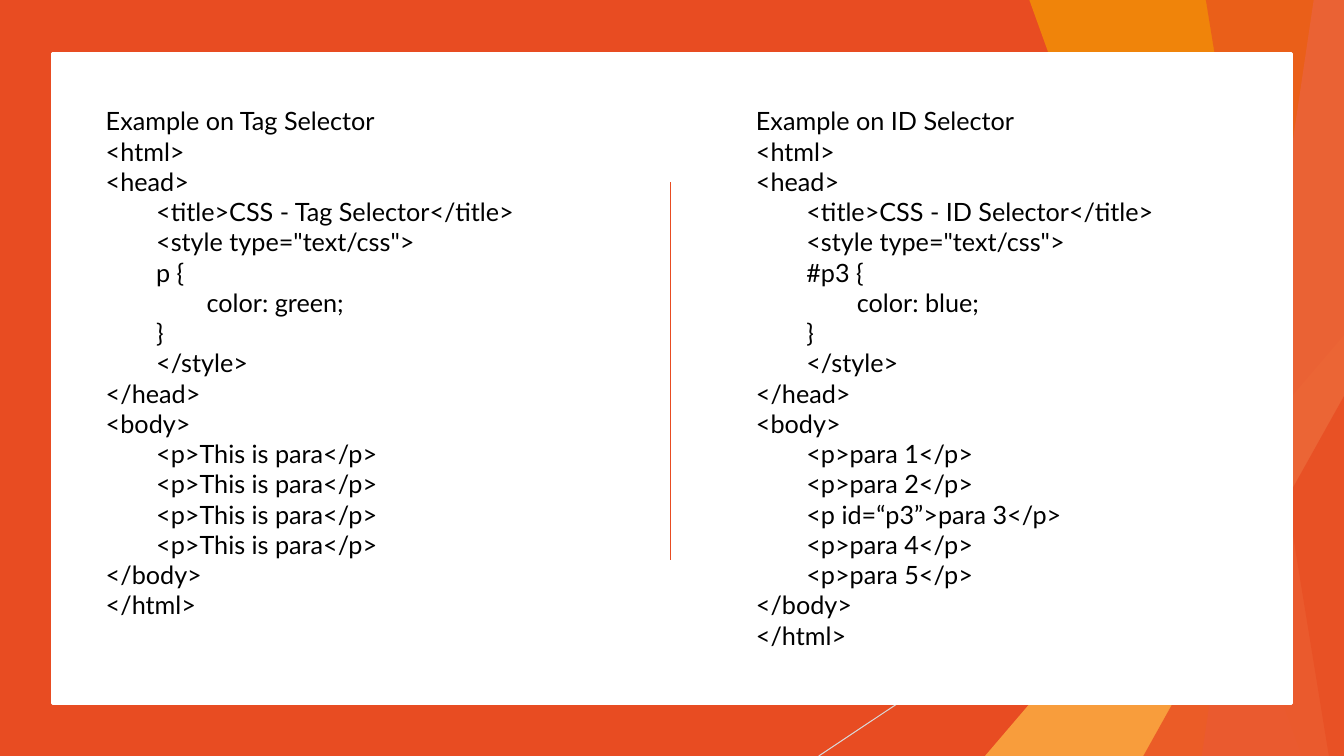
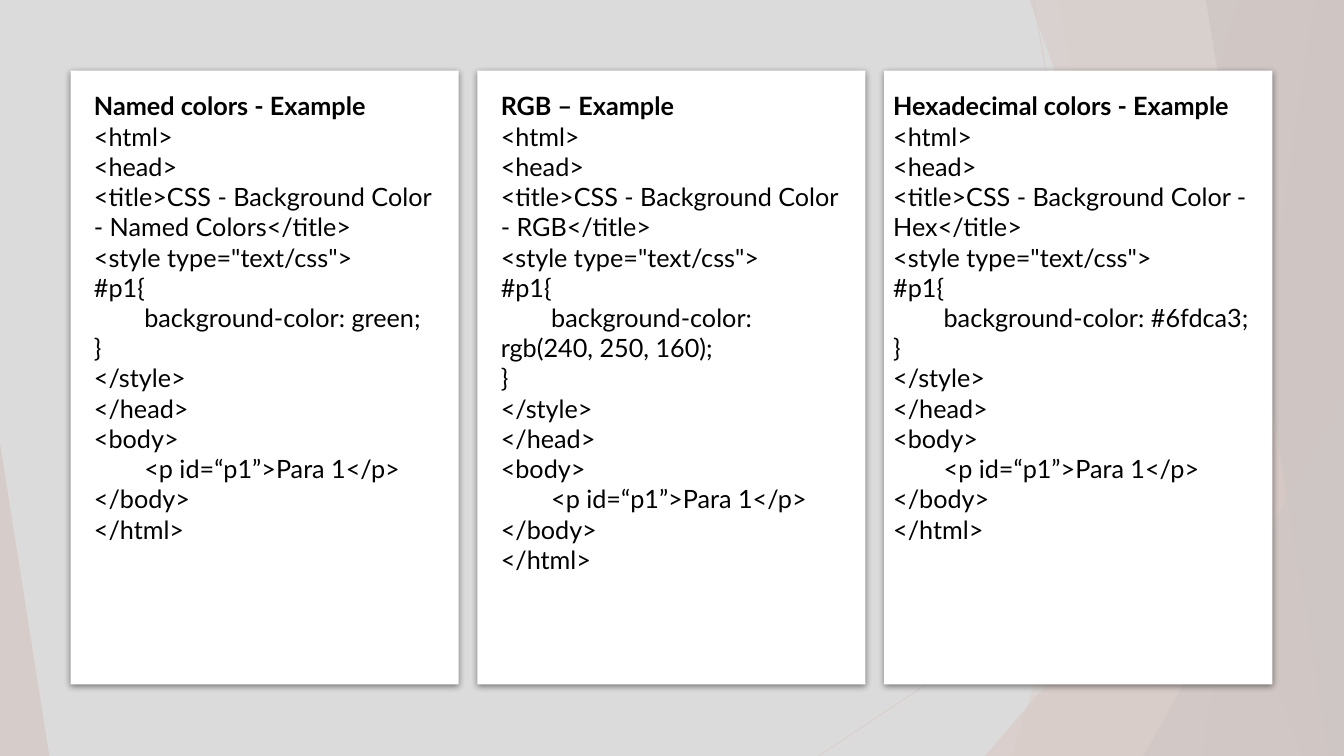
from lxml import etree
from pptx import Presentation
from pptx.dml.color import RGBColor
from pptx.enum.shapes import MSO_CONNECTOR, MSO_SHAPE
from pptx.oxml.ns import qn
from pptx.util import Inches, Pt

RECT = MSO_SHAPE.RECTANGLE
TRI = MSO_SHAPE.ISOSCELES_TRIANGLE
LINE = MSO_CONNECTOR.STRAIGHT
WIDE, HIGH = Inches(13.33), Inches(7.5)
FONT, SIZE = "Lato", 18
COLORS = {
    "orange": "E84C22", "rust": "B43512", "brown": "78230C",
    "yellow": "FFBD47", "amber": "F49C00", "salmon": "F19279",
    "gray": "D8D8D8", "white": "FFFFFF", "black": "000000",
}

# All places are percent of the slide's width and height.
# A band runs to the right edge: (top x, bottom x).
# A triangle is (left, top, width, apex share) and stands on the bottom edge.
FACETS = [
    ("band", (92.12, 75.32)),
    ("band", (78.77, 88.75)),
    ("tri", (73.29, 44.4, 26.71, 1)),
    ("band", (76.59, 96.85)),
    ("band", (97.75, 89.42)),
    ("band", (89.72, 98.87)),
    ("tri", (85.07, 52.4, 14.93, 1)),
    ("tri", (0, 58.53, 3.68, 0)),
]
STEEP = (76.89, 0, 86.87, 100)
SLANT = (100, 53.73, 60.92, 100)

# Color and opacity of each facet
VIVID = [("orange", 30), ("orange", 20), ("yellow", 72), ("amber", 70),
         ("salmon", 70), ("orange", 65), ("orange", 80), ("orange", 85)]
DEEP = [("orange", 36), ("orange", 20), ("orange", 72), ("rust", 50),
        ("rust", 70), ("brown", 80), ("brown", 66), ("rust", 70)]


def across(share):
    return round(WIDE * share / 100)


def down(share):
    return round(HIGH * share / 100)


def area(left, top, width, height):
    return across(left), down(top), across(width), down(height)


def tint(name):
    return RGBColor.from_string(COLORS[name])


def fade(shape, alpha):
    if alpha < 100:
        for color in shape.element.spPr.iter(qn("a:srgbClr")):
            etree.SubElement(color, qn("a:alpha"), val=str(alpha * 1000))


def paint(shape, name, alpha=100):
    shape.shadow.inherit = False
    shape.fill.solid()
    shape.fill.fore_color.rgb = tint(name)
    shape.line.fill.background()
    fade(shape, alpha)


def rect(slide, box, name, alpha=100):
    shape = slide.shapes.add_shape(RECT, *area(*box))
    paint(shape, name, alpha)
    return shape


def rule(slide, ends, name, width, alpha=100):
    x1, y1, x2, y2 = ends
    line = slide.shapes.add_connector(
        LINE, across(x1), down(y1), across(x2), down(y2))
    line.line.color.rgb = tint(name)
    line.line.width = Pt(width)
    etree.SubElement(line.element.spPr, qn("a:effectLst"))
    fade(line, alpha)


def band(slide, top, bottom):
    form = slide.shapes.build_freeform(across(top), 0)
    form.add_line_segments(
        [(WIDE, 0), (WIDE, HIGH), (across(bottom), HIGH)], close=True)
    return form.convert_to_shape()


def wedge(slide, left, top, width, apex):
    shape = slide.shapes.add_shape(TRI, *area(left, top, width, 100 - top))
    shape.adjustments[0] = apex
    return shape


def facets(slide, tones):
    for (kind, place), tone in zip(FACETS, tones):
        draw = band if kind == "band" else wedge
        paint(draw(slide, *place), *tone)


def lift(shape):
    """Give a card its soft drop shadow."""
    effects = shape.element.spPr.find(qn("a:effectLst"))
    shadow = etree.SubElement(
        effects, qn("a:outerShdw"), blurRad=str(Pt(5)), dist=str(Pt(1.4)),
        dir="5400000", algn="ctr", rotWithShape="0")
    color = etree.SubElement(shadow, qn("a:srgbClr"), val=COLORS["black"])
    etree.SubElement(color, qn("a:alpha"), val="43000")


def page(title, style, body, level):
    """Return the lines of an HTML page as (text, level) pairs."""
    head = [f"<title>{title}</title>", '<style type="text/css">',
            *style, "}", "</style>"]
    return [("<html>", 0), ("<head>", 0), *((text, level) for text in head),
            ("</head>", 0), ("<body>", 0), *((text, level) for text in body),
            ("</body>", 0), ("</html>", 0)]


def code(slide, box, title, lines, bold=False):
    frame = slide.shapes.add_textbox(*area(*box)).text_frame
    frame.word_wrap = True
    for row, (text, level) in enumerate([(title, 0), *lines]):
        para = frame.add_paragraph() if row else frame.paragraphs[0]
        para.text = text
        para.font.name = FONT
        para.font.size = Pt(SIZE)
        para.font.bold = bold and row == 0
        para.font.color.rgb = tint("black")
        if level:
            para.level = level
            para._p.get_or_add_pPr().set("marL", str(Inches(0.5) * level))


def selectors(slide):
    # Backdrop and white panel
    rect(slide, (0, 0, 100, 100), "orange")
    rule(slide, SLANT, "gray", 0.75)
    facets(slide, VIVID)
    panel = rect(slide, (3.9, 7.07, 92.2, 86), "white")
    panel.line.color.rgb = tint("white")
    panel.line.width = Pt(1.75)
    rule(slide, (49.89, 24.13, 49.89, 74.13), "orange", 1)

    # Two code samples
    paras = [f"<p>para {num}</p>" for num in range(1, 6)]
    paras[2] = "<p id=“p3”>para 3</p>"
    samples = [
        ("Tag", (7.13, 13.33, 35.03, 70), "p {", "green",
         ["<p>This is para</p>"] * 4),
        ("ID", (55.51, 13.33, 32.63, 74), "#p3 {", "blue", paras),
    ]
    for kind, box, start, color, body in samples:
        style = [start, f"\tcolor: {color};"]
        code(slide, box, f"Example on {kind} Selector",
             page(f"CSS - {kind} Selector", style, body, 1))


def colors(slide):
    # Backdrop under a gray veil
    for ends in (STEEP, SLANT):
        rule(slide, ends, "orange", 0.75, 70)
    facets(slide, DEEP)
    rect(slide, (0, 0, 100, 100), "gray", 90)

    # Three cards: heading, name, value, text offset, text width
    cards = [
        ("Named colors - Example", "Named Colors", "green", 1, 26.78),
        ("RGB – Example", "RGB", "\trgb(240, 250, 160)", 1, 26.78),
        ("Hexadecimal colors - Example", "Hex", "#6fdca3", -0.07, 29.03),
    ]
    for col, (title, name, value, inset, width) in enumerate(cards):
        left = 5.25 + col * 30.27
        lift(rect(slide, (left, 9.33, 28.88, 81.2), "white"))
        style = ["#p1{", f"\tbackground-color: {value};"]
        lines = page(f"CSS - Background Color - {name}", style,
                     ["\t<p id=“p1”>Para 1</p>"], 0)
        code(slide, (left + inset, 11.33, width, 62), title, lines, bold=True)


def main():
    deck = Presentation()
    deck.slide_width, deck.slide_height = WIDE, HIGH
    blank = deck.slide_layouts[6]
    for build in (selectors, colors):
        build(deck.slides.add_slide(blank))
    deck.save("out.pptx")


main()
